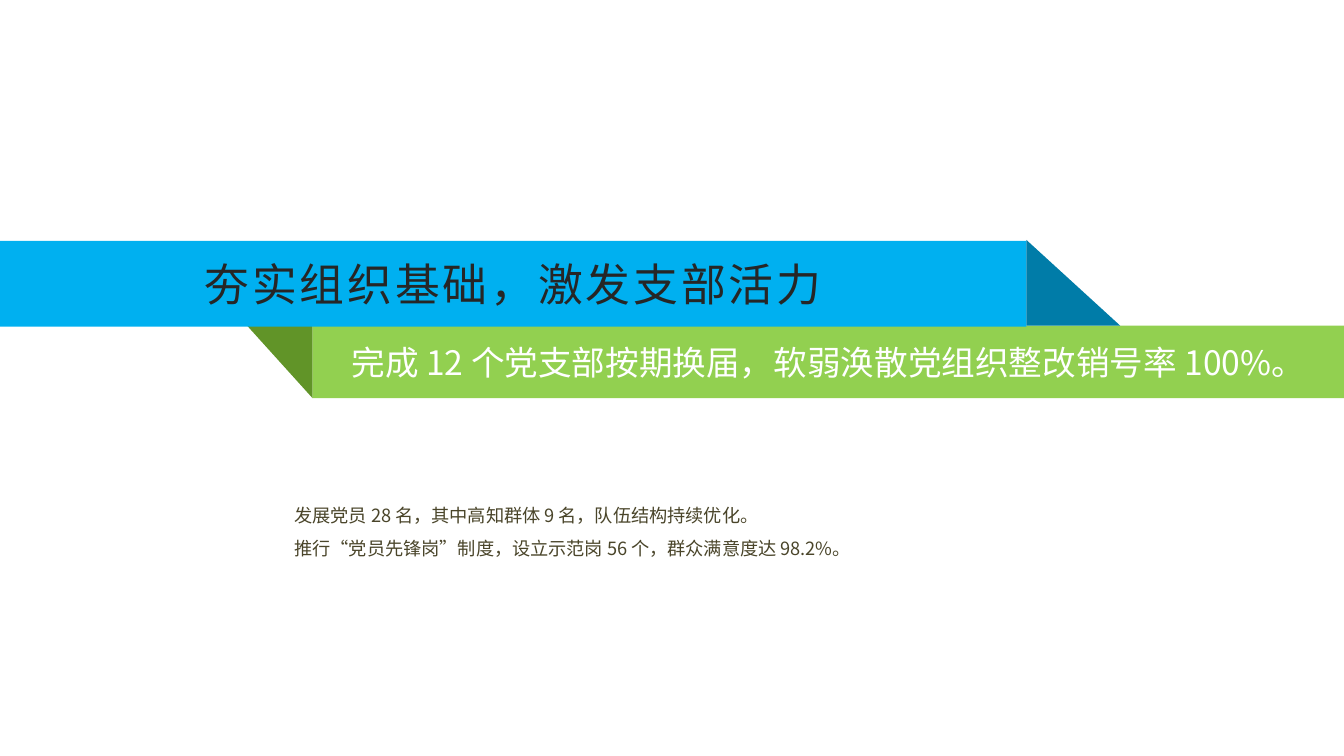
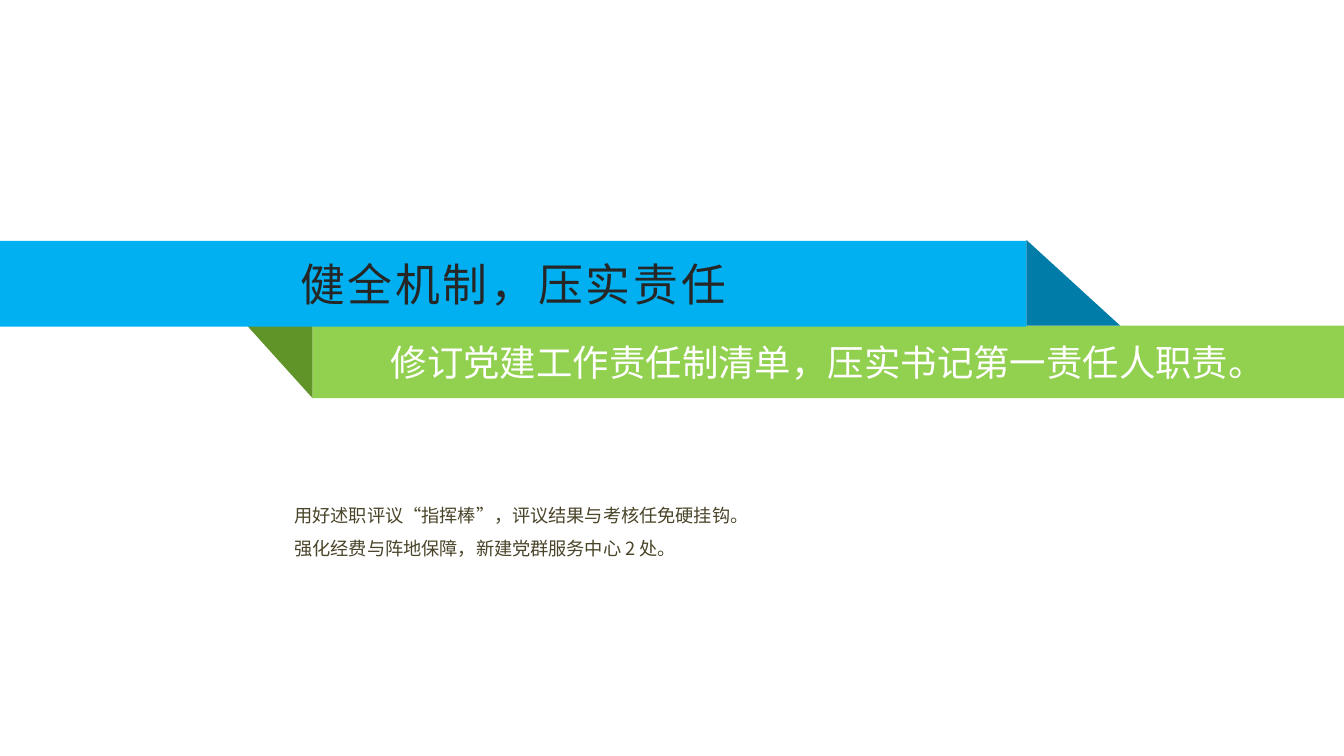
import pptx
import pptx.util
import pptx.dml.color
import pptx.enum.shapes
import pptx.enum.text
import pptx.oxml.ns
import lxml.etree

Inches, Pt = pptx.util.Inches, pptx.util.Pt
SHAPE = pptx.enum.shapes.MSO_SHAPE
ALIGN = pptx.enum.text.PP_ALIGN
WIDTH, HEIGHT = 13.33, 7.5
FONT = "Noto Sans CJK SC"
COLOURS = {
    "blue": "00B0F0", "blue_fold": "007CA8",
    "green": "92D050", "green_fold": "619428",
    "title": "262626", "headline": "FFFFFF", "body": "4A452A",
}

# Boxes: left, top, width, height
TITLE_BAND = (0, 2.39, 10.18, 0.85)
HEADLINE_BAND = (3.1, 3.23, WIDTH - 3.1, 0.72)
BODY_BOX = (2.82, 4.29, 7.55, 1.85)
TITLE_FOLD_WIDTH = 0.93
HEADLINE_FOLD_WIDTH = 0.65

SLIDES = [
    {
        "title": "夯实组织基础，激发支部活力",
        "headline": "完成 12 个党支部按期换届，软弱涣散党组织整改销号率 100%。",
        "headline_size": 24,
        "points": [
            "发展党员 28 名，其中高知群体 9 名，队伍结构持续优化。",
            "推行“党员先锋岗”制度，设立示范岗 56 个，群众满意度达 98.2%。",
        ],
    },
    {
        "title": "健全机制，压实责任",
        "headline": "修订党建工作责任制清单，压实书记第一责任人职责。",
        "headline_size": 26,
        "points": [
            "用好述职评议“指挥棒”，评议结果与考核任免硬挂钩。",
            "强化经费与阵地保障，新建党群服务中心 2 处。",
        ],
    },
]


def rgb(name):
    return pptx.dml.color.RGBColor.from_string(COLOURS[name])


def set_all(target, values):
    for name, value in values.items():
        setattr(target, name, value)


def place(shape, box):
    names = ("left", "top", "width", "height")
    set_all(shape, dict(zip(names, map(Inches, box))))


def paint(shape, colour):
    shape.fill.solid()
    shape.fill.fore_color.rgb = rgb(colour)
    shape.line.fill.background()


def write(shape, lines, size, colour, align, margins, leading=None, tracking=0):
    """Fill a shape with middle-anchored paragraphs of one style."""
    frame = shape.text_frame
    side, edge = map(Inches, margins)
    set_all(frame, {
        "word_wrap": True,
        "auto_size": pptx.enum.text.MSO_AUTO_SIZE.NONE,
        "vertical_anchor": pptx.enum.text.MSO_ANCHOR.MIDDLE,
        "margin_left": side, "margin_right": side,
        "margin_top": edge, "margin_bottom": edge,
    })
    for number, line in enumerate(lines):
        para = frame.paragraphs[0] if number == 0 else frame.add_paragraph()
        set_all(para, {"alignment": align, "space_before": Pt(0),
                       "line_spacing": Pt(leading) if leading else 1.0})
        span = para.add_run()
        span.text = line
        set_all(span.font, {"size": Pt(size), "name": FONT, "bold": False})
        span.font.color.rgb = rgb(colour)
        # East Asian typeface and letter spacing
        props = span.font._element
        east = lxml.etree.SubElement(props, pptx.oxml.ns.qn("a:ea"))
        east.set("typeface", FONT)
        if tracking:
            props.set("spc", str(tracking * 100))


def headline_ribbon(page, box, text, size):
    left, top, width, height = box
    # Fold hanging from the left end
    corners = [(left - HEADLINE_FOLD_WIDTH, top), (left, top + height), (left, top)]
    points = [(Inches(x), Inches(y)) for x, y in corners]
    builder = page.shapes.build_freeform(*points[0], scale=1.0)
    builder.add_line_segments(points[1:], close=True)
    fold = builder.convert_to_shape()
    fold.shadow.inherit = False
    paint(fold, "green_fold")
    # Band with the headline
    band = page.shapes.add_shape(SHAPE.RECTANGLE, *map(Inches, box))
    band.shadow.inherit = False
    paint(band, "green")
    write(band, [text], size, "headline", ALIGN.CENTER, (0.2, 0))


def title_ribbon(page, box, text):
    left, top, width, height = box
    # The title placeholder is the band, laid over the headline ribbon
    title = page.shapes.title
    title.element.getparent().append(title.element)
    place(title, box)
    paint(title, "blue")
    write(title, [text], 32, "title", ALIGN.CENTER, (0, 0), tracking=2)
    # Fold at the right end
    fold_box = (left + width, top - 0.01, TITLE_FOLD_WIDTH, height)
    fold = page.shapes.add_shape(SHAPE.RIGHT_TRIANGLE, *map(Inches, fold_box))
    fold.shadow.inherit = False
    paint(fold, "blue_fold")


def body_list(page, box, points):
    body = page.placeholders[1]
    body.element.getparent().append(body.element)
    place(body, box)
    write(body, points, 13, "body", ALIGN.LEFT, (0.1, 0.05), leading=24)
    # Plain lines without bullets
    for para in body.text_frame.paragraphs:
        props = para._p.get_or_add_pPr()
        props.set("marL", "0")
        props.set("indent", "0")
        lxml.etree.SubElement(props, pptx.oxml.ns.qn("a:buNone"))


def ribbon_slide(deck, content):
    page = deck.slides.add_slide(deck.slide_layouts[1])
    headline_ribbon(page, HEADLINE_BAND, content["headline"], content["headline_size"])
    title_ribbon(page, TITLE_BAND, content["title"])
    body_list(page, BODY_BOX, content["points"])


def main():
    deck = pptx.Presentation()
    deck.slide_width, deck.slide_height = Inches(WIDTH), Inches(HEIGHT)
    for content in SLIDES:
        ribbon_slide(deck, content)
    deck.save("out.pptx")


if __name__ == "__main__":
    main()
